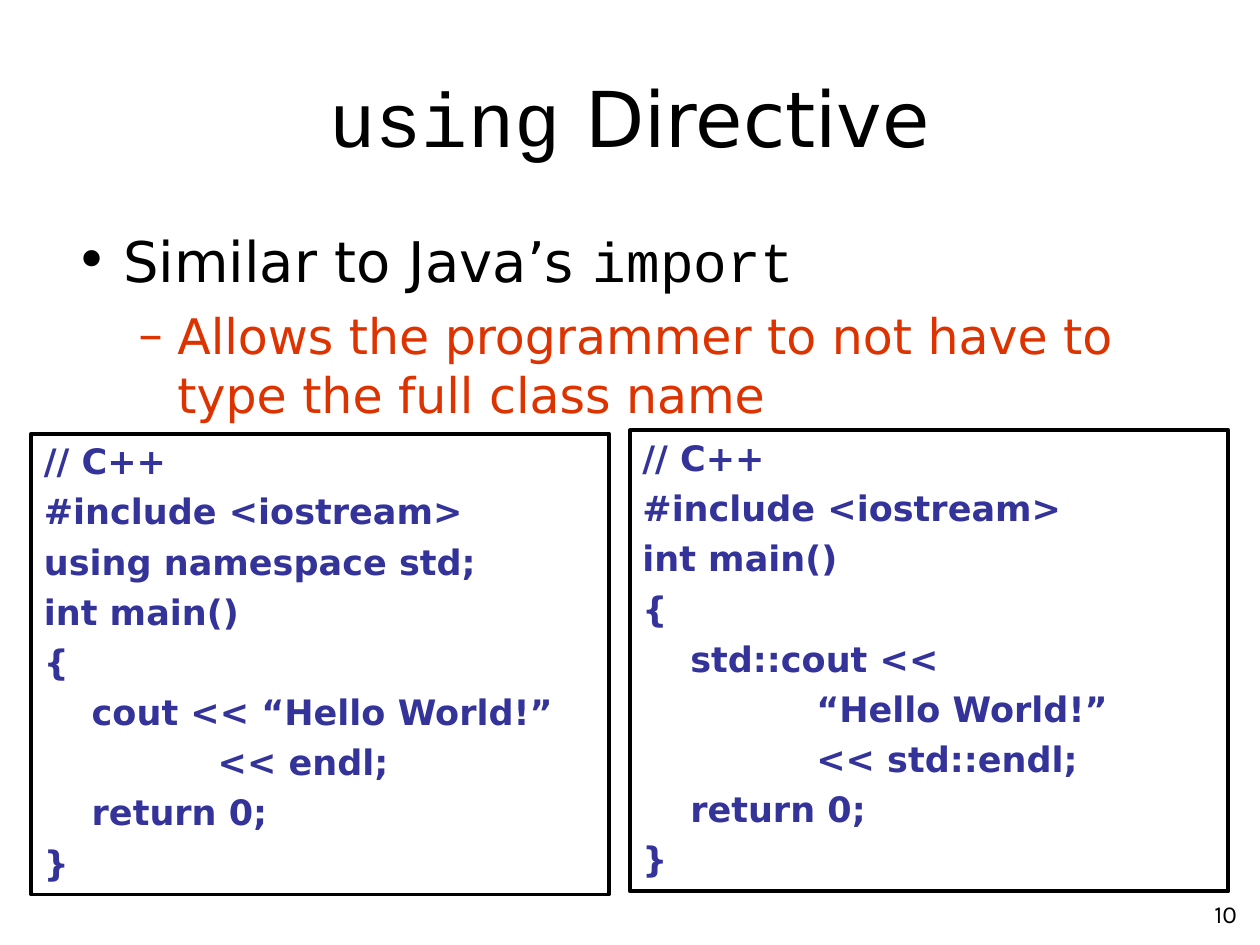
from pptx import Presentation, util as u
from pptx.dml.color import RGBColor
from pptx.enum import shapes, text
from pptx.oxml.ns import qn
from lxml import etree

BLACK = RGBColor(0x00, 0x00, 0x00)
RED = RGBColor(0xDD, 0x33, 0x00)
NAVY = RGBColor(0x33, 0x33, 0x99)
SANS, MONO, NUMBER = "DejaVu Sans", "Courier New", "Karla"
COLS, ROWS = 120, 90
SPACE_SHARE = 0.233

USING_CODE = """// C++
#include <iostream>
using namespace std;
int main()
{
\tcout << “Hello World!”
\t\t<< endl;
\treturn 0;
}"""
QUALIFIED_CODE = """// C++
#include <iostream>
int main()
{
\tstd::cout <<
\t\t“Hello World!”
\t\t<< std::endl;
\treturn 0;
}"""


def place(prs, box):
    col, row, width, height = box
    dx, dy = prs.slide_width / COLS, prs.slide_height / ROWS
    return int(col * dx), int(row * dy), int(width * dx), int(height * dy)


def add_frame(prs, s, box, anchor=text.MSO_ANCHOR.TOP):
    tf = s.shapes.add_textbox(*place(prs, box)).text_frame
    tf.word_wrap = True
    tf.vertical_anchor = anchor
    return tf


def add_run(p, words, size, color, font=SANS, bold=False):
    r = p.add_run()
    r.text = words
    r.font.size = u.Pt(size)
    r.font.name = font
    r.font.bold = bold
    r.font.color.rgb = color


def set_indent(p, size, left, hanging, bullet=None):
    p.space_before = u.Pt(round(size * SPACE_SHARE, 2))
    pPr = p._p.get_or_add_pPr()
    pPr.set("marL", str(u.Inches(left)))
    pPr.set("indent", str(-u.Inches(hanging)))
    pPr.set("defTabSz", str(u.Inches(1)))
    if bullet:
        etree.SubElement(pPr, qn("a:buFont")).set("typeface", SANS)
        etree.SubElement(pPr, qn("a:buChar")).set("char", bullet)
    else:
        etree.SubElement(pPr, qn("a:buNone"))


def add_title(prs, s, box):
    p = add_frame(prs, s, box, text.MSO_ANCHOR.MIDDLE).paragraphs[0]
    p.alignment = text.PP_ALIGN.CENTER
    add_run(p, "using", 44, BLACK, MONO)
    add_run(p, " Directive", 44, BLACK)


def add_body(prs, s, box):
    tf = add_frame(prs, s, box)
    p = tf.paragraphs[0]
    set_indent(p, 32, 0.38, 0.38, "•")
    add_run(p, "Similar to Java’s ", 32, BLACK)
    add_run(p, "import", 32, BLACK, MONO)
    p = tf.add_paragraph()
    p.level = 1
    set_indent(p, 28, 0.81, 0.31, "–")
    add_run(p, "Allows the programmer to not have to type the full class name", 28, RED)


def add_code(prs, s, box, code):
    sp = s.shapes.add_shape(shapes.MSO_SHAPE.RECTANGLE, *place(prs, box))
    sp.shadow.inherit = False
    sp.fill.background()
    sp.line.color.rgb = BLACK
    sp.line.width = u.Pt(2.25)
    tf = sp.text_frame
    tf.word_wrap = True
    tf.auto_size = text.MSO_AUTO_SIZE.SHAPE_TO_FIT_TEXT
    tf.vertical_anchor = text.MSO_ANCHOR.TOP
    for i, line in enumerate(code.splitlines()):
        p = tf.add_paragraph() if i else tf.paragraphs[0]
        p.alignment = text.PP_ALIGN.LEFT
        set_indent(p, 20, 0.38, 0.38)
        add_run(p, line, 20, NAVY, bold=True)


def add_page_number(prs, s, box):
    p = add_frame(prs, s, box).paragraphs[0]
    p.alignment = text.PP_ALIGN.RIGHT
    add_run(p, "10", 14, BLACK, NUMBER)


def main():
    prs = Presentation()
    prs.slide_width, prs.slide_height = u.Inches(10), u.Inches(7.5)
    s = prs.slides.add_slide(prs.slide_layouts[6])
    add_page_number(prs, s, (94, 85, 25, 4.4))
    add_title(prs, s, (6, 3.6, 108, 15))
    add_body(prs, s, (6, 21, 108, 59.4))
    add_code(prs, s, (3, 41.3, 55, 43.9), USING_CODE)
    add_code(prs, s, (60, 41, 57, 43.9), QUALIFIED_CODE)
    prs.save("out.pptx")


if __name__ == "__main__":
    main()
